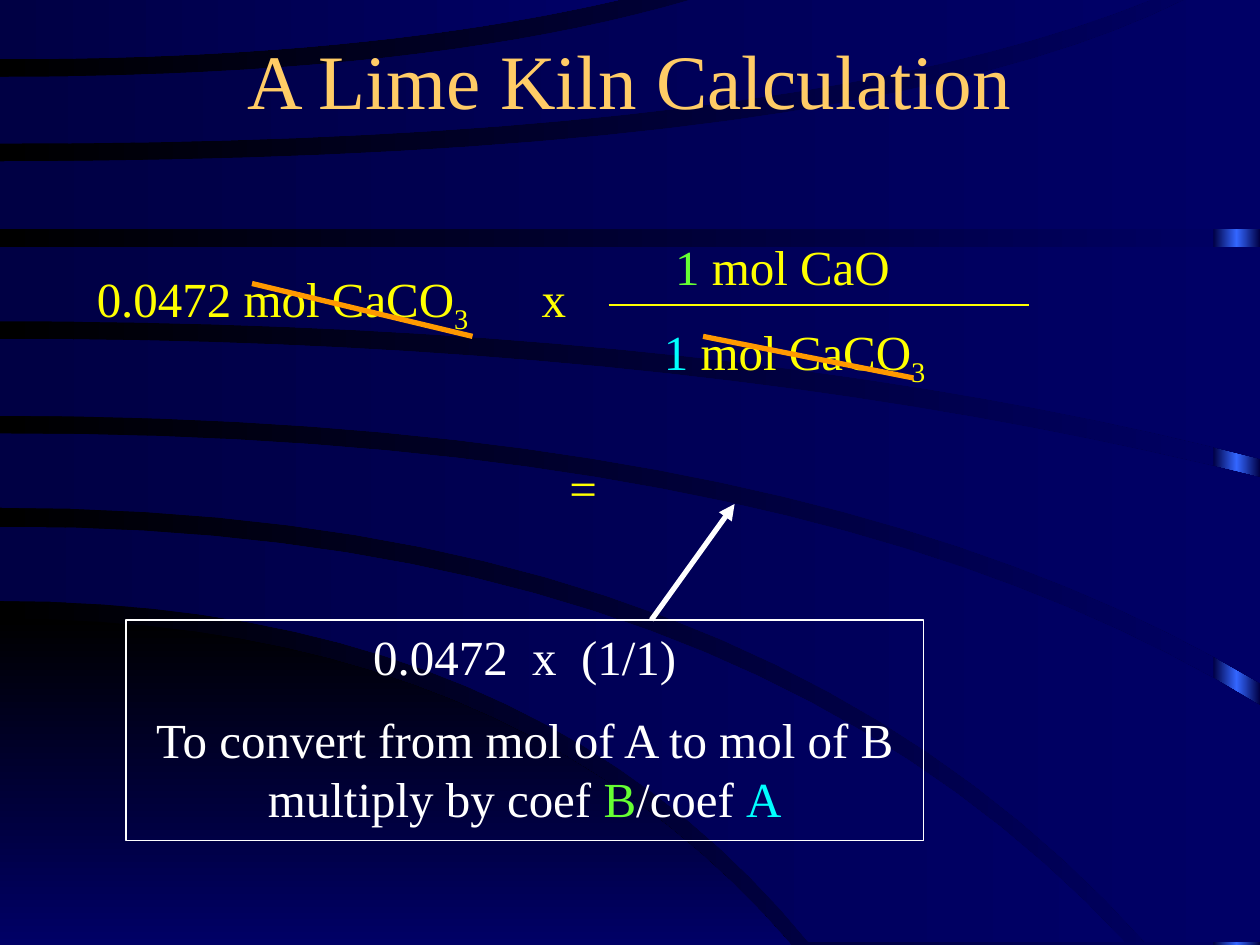
"""Build the slide 'A Lime Kiln Calculation'."""
from copy import deepcopy
from dataclasses import dataclass

from lxml import etree
from pptx import Presentation
from pptx.dml.color import RGBColor
from pptx.enum.shapes import MSO_CONNECTOR, MSO_SHAPE
from pptx.enum.text import MSO_ANCHOR, PP_ALIGN
from pptx.oxml.ns import qn
from pptx.util import Inches, Pt

STRAIGHT = MSO_CONNECTOR.STRAIGHT
RECTANGLE = MSO_SHAPE.RECTANGLE
LEFT, CENTER = PP_ALIGN.LEFT, PP_ALIGN.CENTER
TOP, MIDDLE = MSO_ANCHOR.TOP, MSO_ANCHOR.MIDDLE
CURVE_STEPS = 20


@dataclass(frozen=True)
class Theme:
    font: str = "Times New Roman"
    title_size: int = 44
    body_size: int = 28
    paragraph_gap: int = 14
    thin: float = 0.75
    thick: float = 3
    black: str = "000000"
    navy: str = "000066"
    dark_navy: str = "000044"
    blue: str = "3366FF"
    gold: str = "FFCC66"
    yellow: str = "FFFF00"
    green: str = "66FF33"
    cyan: str = "00FFFF"
    orange: str = "FF9900"
    white: str = "FFFFFF"


THEME = Theme()


@dataclass(frozen=True)
class Span:
    text: str
    color: str = THEME.yellow
    size: int = THEME.body_size
    baseline: int = 0


@dataclass(frozen=True)
class TextBlock:
    area: tuple
    paragraphs: tuple
    align: PP_ALIGN = LEFT
    anchor: MSO_ANCHOR = TOP
    tab: float = 0
    outline: str = ""


@dataclass(frozen=True)
class Line:
    start: tuple
    end: tuple
    color: str
    width: float = THEME.thick
    arrow: bool = False


@dataclass(frozen=True)
class Edge:
    """A curve that leaves the left side level and bends toward its end."""
    start_y: float
    bend_x: float
    end_x: float
    end_y: float

    def points(self) -> list:
        """Sample the quadratic curve from left to right."""
        steps = [step / CURVE_STEPS for step in range(CURVE_STEPS + 1)]
        return [(Inches(2 * self.bend_x * t * (1 - t) + self.end_x * t * t),
                 Inches(self.start_y + (self.end_y - self.start_y) * t * t)) for t in steps]


@dataclass(frozen=True)
class Band:
    upper: Edge
    lower: Edge
    corners: tuple = ()
    colors: tuple = (THEME.dark_navy, THEME.navy)
    angle: int = 0


BANDS = (
    Band(Edge(4.91, 4.05, 6.28, 7.5), Edge(7.5, 3.14, 6.28, 7.5),
         colors=(THEME.black, THEME.navy), angle=270),
    Band(Edge(4.18, 5.85, 8.93, 7.48), Edge(4.77, 4.2, 6.42, 7.48)),
    Band(Edge(3.44, 6.5, 10, 5.6), Edge(4.03, 6, 9.09, 7.48), ((10, 7.48),)),
    Band(Edge(2.69, 5.6, 10, 3.79), Edge(3.3, 6.45, 10, 5.42)),
    Band(Edge(1.96, 5, 10, 1.96), Edge(2.55, 5.8, 10, 3.64)),
    Band(Edge(1.28, 6.85, 9.4, 0), Edge(1.82, 5, 10, 1.82), ((10, 0),)),
    Band(Edge(0.61, 3.4, 5.48, 0), Edge(1.14, 6.3, 9.13, 0)),
    Band(Edge(0, 2.45, 4.91, 0), Edge(0.47, 2.88, 4.91, 0)),
)

CARBONATE = (Span("mol CaCO"), Span("3", baseline=-25000))

TEXTS = (
    TextBlock((0.75, 0, 8.5, 1.25),
              ((Span("A Lime Kiln Calculation", THEME.gold, THEME.title_size),),), CENTER, MIDDLE),
    TextBlock((0.67, 2.08, 4, 0.57), ((Span("0.0472 "), *CARBONATE, Span("\tx")),), tab=3.53),
    TextBlock((4.42, 1.83, 3.58, 0.57), ((Span("1", THEME.green), Span(" mol CaO")),), CENTER),
    TextBlock((5.17, 2.5, 3.58, 0.57), ((Span("1 ", THEME.cyan), *CARBONATE),)),
    TextBlock((4.42, 3.58, 4.25, 0.57), ((Span("="),),)),
    TextBlock((1, 4.92, 6.33, 1.75), (
        (Span("0.0472  x  (1/1)", THEME.white),),
        (Span("To convert from mol of A to mol of B multiply by coef ", THEME.white),
         Span("B", THEME.green), Span("/coef ", THEME.white), Span("A", THEME.cyan)),
    ), CENTER, outline=THEME.white),
)

LINES = (
    Line((4.83, 2.42), (8.17, 2.42), THEME.yellow, THEME.thin),
    Line((2, 2.25), (3.75, 2.67), THEME.orange),
    Line((5.58, 2.67), (7.25, 3), THEME.orange),
    Line((5.17, 4.92), (5.83, 4), THEME.white, arrow=True),
)


def rgb(color: str) -> RGBColor:
    """Turn a hex string into a colour."""
    return RGBColor.from_string(color)


def set_format(target, values: dict) -> None:
    """Set every attribute named in the format values."""
    for name, value in values.items():
        setattr(target, name, value)


def fill_gradient(fill, colors: tuple, angle: int = 0) -> None:
    """Fill with a linear gradient between two colours."""
    fill.gradient()
    fill.gradient_angle = angle
    for stop, position, color in zip(fill.gradient_stops, (0, 1), colors):
        stop.position = position
        stop.color.rgb = rgb(color)


def draw_strip(page) -> None:
    """Draw the glowing strip along the right edge."""
    strip = page.shapes.add_shape(RECTANGLE, Inches(9.63), 0, Inches(0.37), Inches(7.5))
    strip.shadow.inherit = False
    strip.line.fill.background()
    fill_gradient(strip.fill, (THEME.dark_navy, THEME.dark_navy))
    stops = strip._element.spPr.find(".//" + qn("a:gsLst"))
    stops.insert(1, deepcopy(stops[0]))
    middle = strip.fill.gradient_stops[1]
    middle.position = 0.5
    middle.color.rgb = rgb(THEME.blue)


def draw_band(page, band: Band) -> None:
    """Draw one curved background band."""
    corners = [(Inches(x), Inches(y)) for x, y in band.corners]
    points = band.upper.points() + corners + band.lower.points()[::-1]
    builder = page.shapes.build_freeform(*points[0])
    builder.add_line_segments(points[1:], close=True)
    shape = builder.convert_to_shape()
    shape.shadow.inherit = False
    shape.line.fill.background()
    fill_gradient(shape.fill, band.colors, band.angle)


def draw_text(page, block: TextBlock) -> None:
    """Draw a text box with its coloured spans."""
    box = page.shapes.add_textbox(*map(Inches, block.area))
    if block.outline:
        box.line.width = Pt(THEME.thin)
        box.line.color.rgb = rgb(block.outline)
    frame = box.text_frame
    set_format(frame, {"word_wrap": True, "vertical_anchor": block.anchor})
    for index, spans in enumerate(block.paragraphs):
        para = frame.add_paragraph() if index else frame.paragraphs[0]
        para.alignment = block.align
        if index:
            para.space_before = Pt(THEME.paragraph_gap)
        if block.tab:
            tabs = etree.SubElement(para._p.get_or_add_pPr(), qn("a:tabLst"))
            etree.SubElement(tabs, qn("a:tab"), pos=str(Inches(block.tab)), algn="l")
        for span in spans:
            run = para.add_run()
            run.text = span.text
            set_format(run.font, {"name": THEME.font, "size": Pt(span.size)})
            run.font.color.rgb = rgb(span.color)
            if span.baseline:
                run.font._element.set("baseline", str(span.baseline))


def draw_line(page, line: Line) -> None:
    """Draw a straight line, with an arrowhead if asked."""
    connector = page.shapes.add_connector(STRAIGHT, *map(Inches, line.start + line.end))
    connector.line.width = Pt(line.width)
    connector.line.color.rgb = rgb(line.color)
    if line.arrow:
        etree.SubElement(connector.line._get_or_add_ln(), qn("a:tailEnd"), type="triangle")
    etree.SubElement(connector._element.spPr, qn("a:effectLst"))


def main() -> None:
    """Build and save the deck."""
    deck = Presentation()
    set_format(deck, {"slide_width": Inches(10), "slide_height": Inches(7.5)})
    page = deck.slides.add_slide(deck.slide_layouts[6])
    fill_gradient(page.background.fill, (THEME.black, THEME.navy))
    draw_strip(page)
    for draw, items in ((draw_band, BANDS), (draw_text, TEXTS), (draw_line, LINES)):
        for item in items:
            draw(page, item)
    deck.save("out.pptx")


if __name__ == "__main__":
    main()
